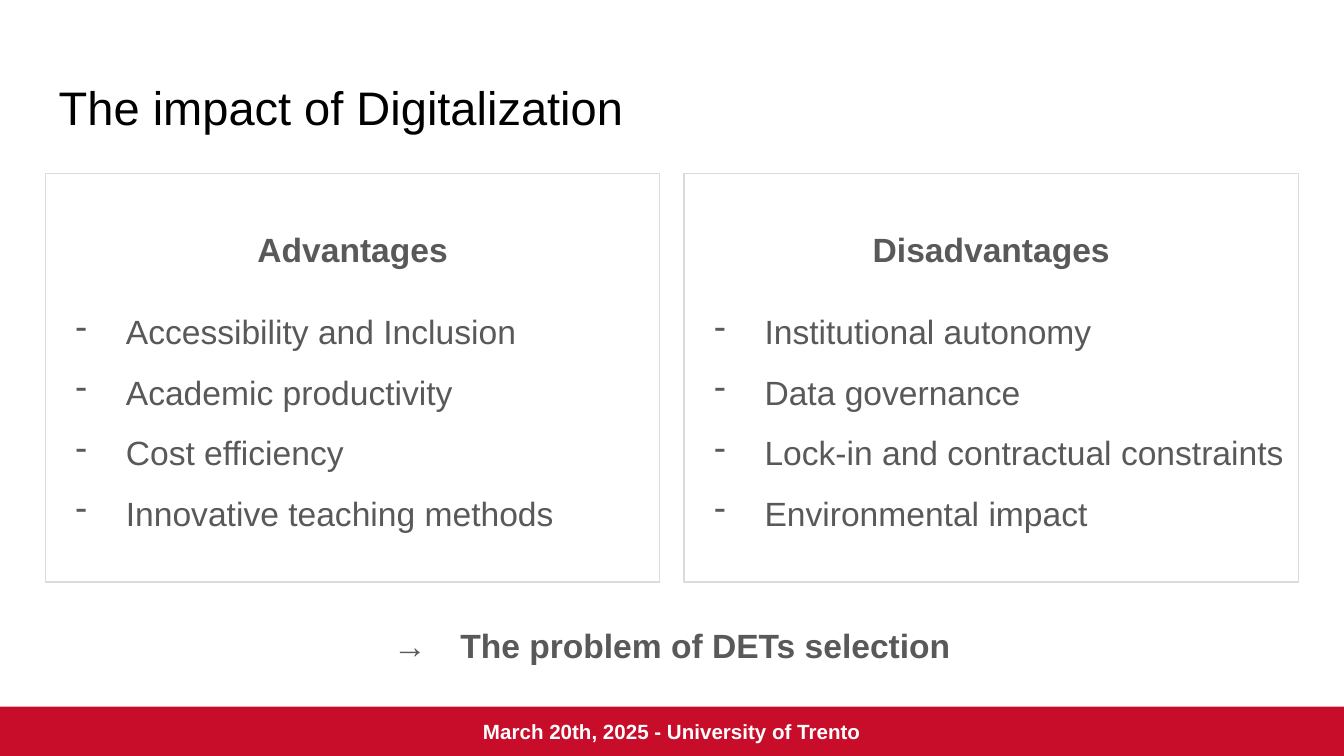
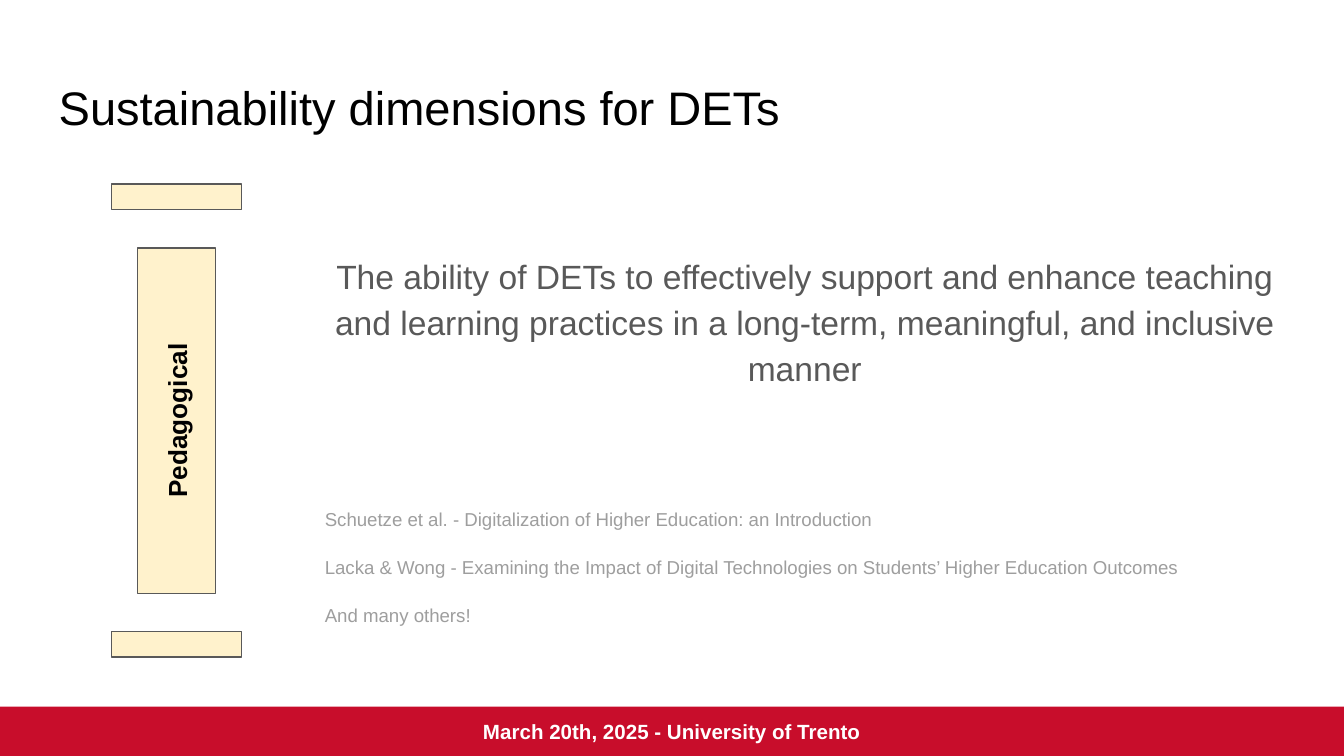
from lxml import etree
from pptx import Presentation
from pptx.dml.color import RGBColor
from pptx.enum.shapes import MSO_SHAPE
from pptx.enum.text import MSO_ANCHOR, MSO_AUTO_SIZE, PP_ALIGN
from pptx.oxml.ns import qn
from pptx.util import Cm, Pt

RECTANGLE = MSO_SHAPE.RECTANGLE
TOP, MIDDLE = MSO_ANCHOR.TOP, MSO_ANCHOR.MIDDLE
LEFT, CENTER = PP_ALIGN.LEFT, PP_ALIGN.CENTER
NO_AUTOFIT = MSO_AUTO_SIZE.NONE
TITLE_ONLY = 5

FONT = "Arial"
BLACK, WHITE, RED = "000000", "FFFFFF", "C80D2B"
GREY, LIGHT_GREY, BORDER, CREAM = "595959", "9E9E9E", "DBDBDB", "FFF2CC"

PAGE_WIDTH, PAGE_HEIGHT = 25.4, 14.29
MARGIN = 0.86
CONTENT_WIDTH = PAGE_WIDTH - 2 * MARGIN
FOOTER_HEIGHT = 0.93
FOOTER = "March 20th, 2025 - University of Trento"

CARD_TOP, CARD_WIDTH, CARD_HEIGHT = 3.28, 11.61, 7.72
CARDS = {
    "Advantages": [
        "Accessibility and Inclusion",
        "Academic productivity",
        "Cost efficiency",
        "Innovative teaching methods",
    ],
    "Disadvantages": [
        "Institutional autonomy",
        "Data governance",
        "Lock-in and contractual constraints",
        "Environmental impact",
    ],
}

PILLAR_X, PILLAR_Y = 3.34, 7.95
CAP_WIDTH, CAP_HEIGHT, CAP_OFFSET = 2.46, 0.48, 4.23
SHAFT_LENGTH, SHAFT_WIDTH = 6.53, 1.48

DEFINITION = (
    "The ability of DETs to effectively support and enhance teaching and "
    "learning practices in a long-term, meaningful, and inclusive manner"
)
SOURCES = [
    "Schuetze et al. - Digitalization of Higher Education: an Introduction",
    "Lacka & Wong - Examining the Impact of Digital Technologies on "
    "Students’ Higher Education Outcomes",
    "And many others!",
]


def color(value):
    """Turn a hex string into a colour."""
    return RGBColor.from_string(value)


def set_frame(frame, anchor):
    """Give a text frame its wrapping, anchor and insets."""
    frame.word_wrap = True
    frame.auto_size = NO_AUTOFIT
    frame.vertical_anchor = anchor
    frame.margin_left = frame.margin_right = Cm(0.25)
    frame.margin_top = frame.margin_bottom = Cm(0.25)


def write(para, text, size, ink, bold=False, align=LEFT, spacing=1.0, before=0):
    """Fill one paragraph and set its style."""
    para.text = text
    para.alignment = align
    para.line_spacing = spacing
    para.space_before = Pt(before)
    para.font.name = FONT
    para.font.size = Pt(size)
    para.font.bold = bold
    para.font.color.rgb = color(ink)


def add_dash(para):
    """Hang a dash bullet in front of a paragraph."""
    properties = para._p.get_or_add_pPr()
    properties.set("marL", str(Cm(1.27)))
    properties.set("indent", str(Cm(-0.95)))
    bullet_color = etree.SubElement(properties, qn("a:buClr"))
    etree.SubElement(bullet_color, qn("a:srgbClr"), val=GREY)
    etree.SubElement(properties, qn("a:buChar"), char="-")


def add_box(shapes, left, top, width, height, fill=None, line=None):
    """Add a flat rectangle with optional fill and outline."""
    box = shapes.add_shape(RECTANGLE, Cm(left), Cm(top), Cm(width), Cm(height))
    box.shadow.inherit = False
    if fill:
        box.fill.solid()
        box.fill.fore_color.rgb = color(fill)
    else:
        box.fill.background()
    if line:
        box.line.color.rgb = color(line)
        box.line.width = Pt(0.75)
    else:
        box.line.fill.background()
    set_frame(box.text_frame, MIDDLE)
    return box


def add_text(page, left, top, width, height):
    """Add an empty text box and return its frame."""
    box = page.shapes.add_textbox(Cm(left), Cm(top), Cm(width), Cm(height))
    set_frame(box.text_frame, TOP)
    return box.text_frame


def add_page(deck, title):
    """Add a page with its title and footer band."""
    page = deck.slides.add_slide(deck.slide_layouts[TITLE_ONLY])
    heading = page.shapes.title
    heading.left, heading.top = Cm(MARGIN), Cm(1.24)
    heading.width, heading.height = Cm(CONTENT_WIDTH), Cm(1.6)
    set_frame(heading.text_frame, TOP)
    write(heading.text_frame.paragraphs[0], title, 25.2, BLACK)
    band = add_box(page.shapes, 0, PAGE_HEIGHT - FOOTER_HEIGHT,
                   PAGE_WIDTH, FOOTER_HEIGHT, RED)
    write(band.text_frame.paragraphs[0], FOOTER, 11, WHITE, True, CENTER)
    return page


def add_card(page, left, heading, items):
    """Add an outlined card with a heading and dashed items."""
    card = add_box(page.shapes, left, CARD_TOP, CARD_WIDTH, CARD_HEIGHT, line=BORDER)
    frame = card.text_frame
    write(frame.paragraphs[0], heading, 18, GREY, True, CENTER, 1.15)
    for index, item in enumerate(items):
        para = frame.add_paragraph()
        write(para, item, 18, GREY, spacing=1.5, before=0 if index else 12)
        add_dash(para)


def add_pillar(page, label):
    """Add a grouped pillar: two caps and a shaft with a turned label."""
    parts = page.shapes.add_group_shape().shapes
    for offset in (CAP_OFFSET, -CAP_OFFSET):
        add_box(parts, PILLAR_X - CAP_WIDTH / 2, PILLAR_Y + offset - CAP_HEIGHT / 2,
                CAP_WIDTH, CAP_HEIGHT, CREAM, GREY)
    shaft = add_box(parts, PILLAR_X - SHAFT_LENGTH / 2, PILLAR_Y - SHAFT_WIDTH / 2,
                    SHAFT_LENGTH, SHAFT_WIDTH, CREAM, GREY)
    shaft.rotation = 270
    write(shaft.text_frame.paragraphs[0], label, 14, BLACK, True, CENTER)


def add_definition(page, definition, sources):
    """Add the centred definition with its sources below."""
    frame = add_text(page, 5.89, 3.2, 18.64, 9.5)
    frame.margin_top = Cm(1.52)
    write(frame.paragraphs[0], definition, 18, GREY, align=CENTER, spacing=1.15)
    for index, source in enumerate(sources):
        write(frame.add_paragraph(), source, 10, LIGHT_GREY,
              spacing=1.15, before=12 if index else 62)


def main():
    """Build and save the deck."""
    deck = Presentation()
    deck.slide_width, deck.slide_height = Cm(PAGE_WIDTH), Cm(PAGE_HEIGHT)

    page = add_page(deck, "The impact of Digitalization")
    for index, (heading, items) in enumerate(CARDS.items()):
        left = MARGIN + index * (CONTENT_WIDTH - CARD_WIDTH)
        add_card(page, left, heading, items)
    conclusion = add_text(page, MARGIN, 11.56, CONTENT_WIDTH, 1.27)
    write(conclusion.paragraphs[0], "→ \tThe problem of DETs selection",
          18, GREY, True, CENTER)

    page = add_page(deck, "Sustainability dimensions for DETs")
    add_pillar(page, "Pedagogical")
    add_definition(page, DEFINITION, SOURCES)

    deck.save("out.pptx")


if __name__ == "__main__":
    main()
